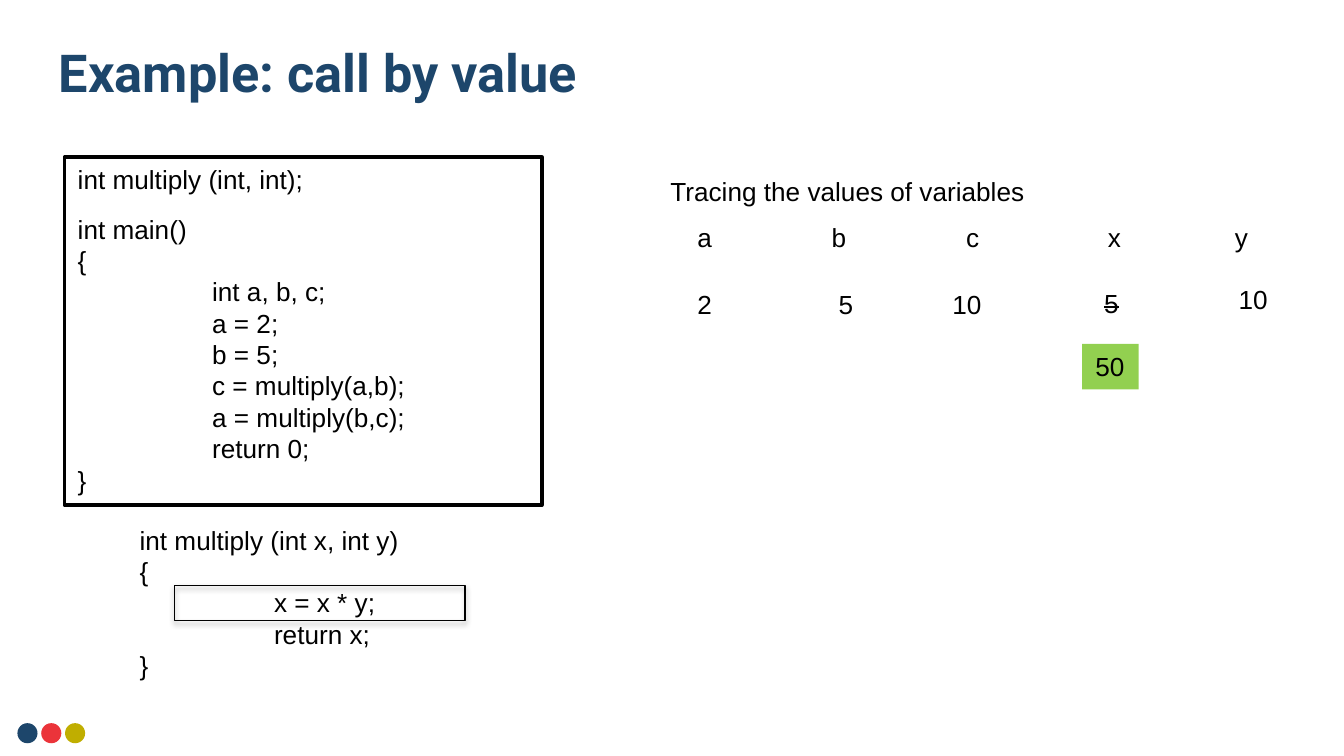
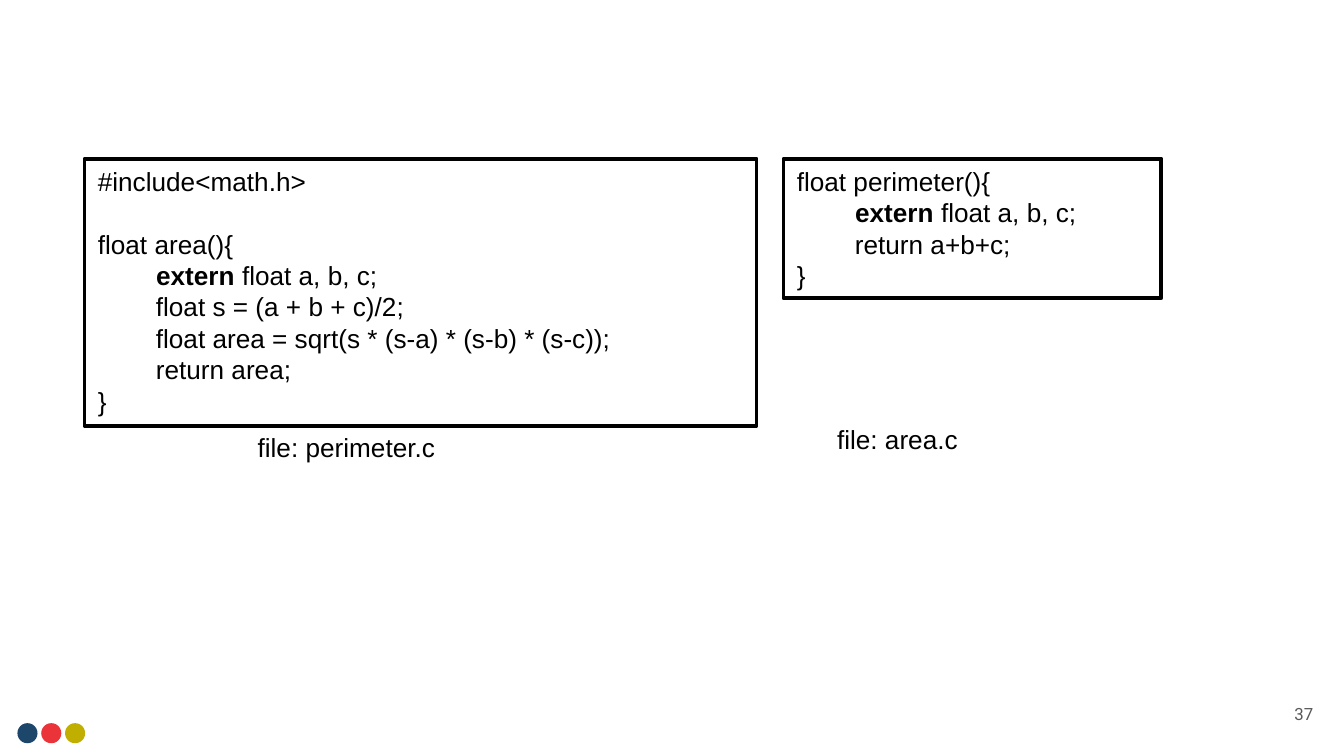
from lxml import etree
from pptx import Presentation
from pptx.dml.color import RGBColor
from pptx.enum import shapes as kinds, text as tx
from pptx.oxml import ns, parse_xml
from pptx.util import Cm, Inches, Pt

NAVY = RGBColor(0x1D, 0x46, 0x6B)
RED = RGBColor(0xEB, 0x34, 0x3A)
OLIVE = RGBColor(0xC0, 0xAE, 0x00)
GREEN = RGBColor(0x92, 0xD0, 0x50)
GREY = RGBColor(0x59, 0x59, 0x59)
BLACK = RGBColor(0, 0, 0)
WHITE = RGBColor(255, 255, 255)

BODY = {"name": "Arial", "size": Pt(14), "bold": False}
TITLE = {"name": "Roboto", "size": Pt(28), "bold": True}
NUMBER = {"name": "Roboto", "size": Pt(9), "bold": False}
LINE_HEIGHT = Pt(16.8)
TEXT_HEIGHT = 0.86
TAB_COUNT = 4

SHADOW = (
    f'<a:effectLst {ns.nsdecls("a")}>'
    f'<a:outerShdw blurRad="{Pt(3.1)}" dist="{Pt(1.6)}" dir="5400000" rotWithShape="0">'
    '<a:srgbClr val="000000"><a:alpha val="38000"/></a:srgbClr>'
    '</a:outerShdw></a:effectLst>'
)

MAIN_CODE = [
    "int multiply (int, int);",
    "int main()",
    "{",
    "\tint a, b, c;",
    "\ta = 2;",
    "\tb = 5;",
    "\tc = multiply(a,b);",
    "\ta = multiply(b,c);",
    "\treturn 0;",
    "}",
]
MULTIPLY_CODE = [
    "int multiply (int x, int y)",
    "{",
    "\tx = x * y;",
    "\treturn x;",
    "}",
]
AREA_CODE = [
    "#include<math.h>",
    "float area(){",
    "        extern float a, b, c;",
    "        float s = (a + b + c)/2;",
    "        float area = sqrt(s * (s-a) * (s-b) * (s-c));",
    "        return area;",
    "}",
]
PERIMETER_CODE = [
    "float perimeter(){",
    "        extern float a, b, c;",
    "        return a+b+c;",
    "}",
]


def cm(*lengths):
    return [Cm(length) for length in lengths]


def set_format(target, values):
    for attribute, value in values.items():
        setattr(target, attribute, value)


def add_run(paragraph, wording, font, color):
    run = paragraph.add_run()
    run.text = wording
    set_format(run.font, font)
    run.font.color.rgb = color
    return run


def set_tabs(paragraph):
    """Place tab stops one inch apart."""
    stops = etree.SubElement(paragraph._p.get_or_add_pPr(), ns.qn("a:tabLst"))
    for stop in range(1, TAB_COUNT + 1):
        etree.SubElement(stops, ns.qn("a:tab"), pos=str(Inches(stop)), algn="l")


def write_code(frame, lines, gap=0):
    """Write one paragraph a line; gap is the space in points before the second."""
    set_format(frame, {"word_wrap": True, "vertical_anchor": tx.MSO_ANCHOR.TOP,
                       "auto_size": tx.MSO_AUTO_SIZE.SHAPE_TO_FIT_TEXT})
    for index, line in enumerate(lines):
        paragraph = frame.add_paragraph() if index else frame.paragraphs[0]
        if "\t" in line:
            set_tabs(paragraph)
        set_format(paragraph, {"alignment": tx.PP_ALIGN.LEFT, "line_spacing": LINE_HEIGHT})
        if index == 1 and gap:
            paragraph.space_before = Pt(gap)
        for part in line.partition("extern"):
            if part:
                add_run(paragraph, part, {**BODY, "bold": part == "extern"}, BLACK)


def add_block(slide, kind, place, fill=None, border=None):
    """Add a shape; border is its line width in points."""
    block = slide.shapes.add_shape(kind, *cm(*place))
    block.shadow.inherit = False
    if fill is None:
        block.fill.background()
    else:
        block.fill.solid()
        block.fill.fore_color.rgb = fill
    if border is None:
        block.line.fill.background()
    else:
        block.line.color.rgb = BLACK
        block.line.width = Pt(border)
    return block


def add_code_box(slide, place, lines, gap=0):
    box = add_block(slide, kinds.MSO_SHAPE.RECTANGLE, place, WHITE, 2)
    write_code(box.text_frame, lines, gap)


def write_label(frame, wording):
    set_format(frame, {"word_wrap": False, "vertical_anchor": tx.MSO_ANCHOR.TOP,
                       "auto_size": tx.MSO_AUTO_SIZE.SHAPE_TO_FIT_TEXT})
    paragraph = frame.paragraphs[0]
    if "\t" in wording:
        set_tabs(paragraph)
    paragraph.alignment = tx.PP_ALIGN.LEFT
    return add_run(paragraph, wording, BODY, BLACK)


def add_label(slide, left, top, width, wording):
    label = slide.shapes.add_textbox(*cm(left, top, width, TEXT_HEIGHT))
    return write_label(label.text_frame, wording)


def add_title(slide, wording):
    title = slide.shapes.title
    set_format(title, dict(zip(("left", "top", "width", "height"),
                               cm(0.86, 0.25, 20.27, 2.21))))
    title.text_frame.vertical_anchor = tx.MSO_ANCHOR.MIDDLE
    paragraph = title.text_frame.paragraphs[0]
    paragraph.alignment = tx.PP_ALIGN.LEFT
    add_run(paragraph, wording, TITLE, NAVY)


def add_page_number(slide, number):
    frame = slide.shapes.add_textbox(*cm(23.55, 12.95, 1.52, 1.09)).text_frame
    set_format(frame, {"word_wrap": True, "vertical_anchor": tx.MSO_ANCHOR.MIDDLE})
    frame.paragraphs[0].alignment = tx.PP_ALIGN.RIGHT
    add_run(frame.paragraphs[0], number, NUMBER, GREY)


def add_master_dots(prs, slide):
    """Draw the three footer dots and hand them to the slide master."""
    for index, color in enumerate((NAVY, RED, OLIVE)):
        dot = add_block(slide, kinds.MSO_SHAPE.OVAL,
                        (0.33 + 0.45 * index, 13.67, 0.38, 0.38), color)
        prs.slide_master.shapes.element.append(dot.element)


def build_call_by_value(slide):
    add_title(slide, "Example: call by value")
    add_code_box(slide, (1.22, 2.97, 9.02, 6.58), MAIN_CODE, gap=9.6)
    multiply = slide.shapes.add_textbox(*cm(2.39, 9.78, 7.32, 3.25))
    write_code(multiply.text_frame, MULTIPLY_CODE)
    current_line = add_block(slide, kinds.MSO_SHAPE.RECTANGLE,
                             (3.3, 11.07, 5.49, 0.66), border=0.75)
    properties = current_line.element.spPr
    properties.replace(properties.find(ns.qn("a:effectLst")), parse_xml(SHADOW))

    add_label(slide, 12.42, 3.2, 7.26, "Tracing the values of variables")
    add_label(slide, 12.93, 4.06, 11.02, "a\tb\tc\t x\ty")
    for left, top, width, value in [
        (12.93, 5.33, 0.79, "2"),
        (15.6, 5.33, 0.79, "5"),
        (17.75, 5.33, 1.07, "10"),
        (23.16, 5.23, 1.07, "10"),
    ]:
        add_label(slide, left, top, width, value)
    old_x = add_label(slide, 20.62, 5.31, 0.79, "5")
    old_x.font._element.set("strike", "sngStrike")
    new_x = add_block(slide, kinds.MSO_SHAPE.RECTANGLE,
                      (20.45, 6.5, 1.07, TEXT_HEIGHT), GREEN)
    write_label(new_x.text_frame, "50")


def build_extern_files(slide):
    add_code_box(slide, (1.6, 3, 12.7, 5.05), AREA_CODE, gap=16.8)
    add_code_box(slide, (14.81, 3, 7.14, 2.64), PERIMETER_CODE)
    add_label(slide, 4.62, 8.03, 3.89, "file: perimeter.c")
    add_label(slide, 15.57, 7.87, 2.79, "file: area.c")
    add_page_number(slide, "37")


def main():
    prs = Presentation()
    set_format(prs, {"slide_width": Cm(25.4), "slide_height": Cm(14.29)})
    title_only, blank = prs.slide_layouts[5], prs.slide_layouts[6]
    call_by_value = prs.slides.add_slide(title_only)
    add_master_dots(prs, call_by_value)
    build_call_by_value(call_by_value)
    build_extern_files(prs.slides.add_slide(blank))
    prs.save("out.pptx")


if __name__ == "__main__":
    main()
